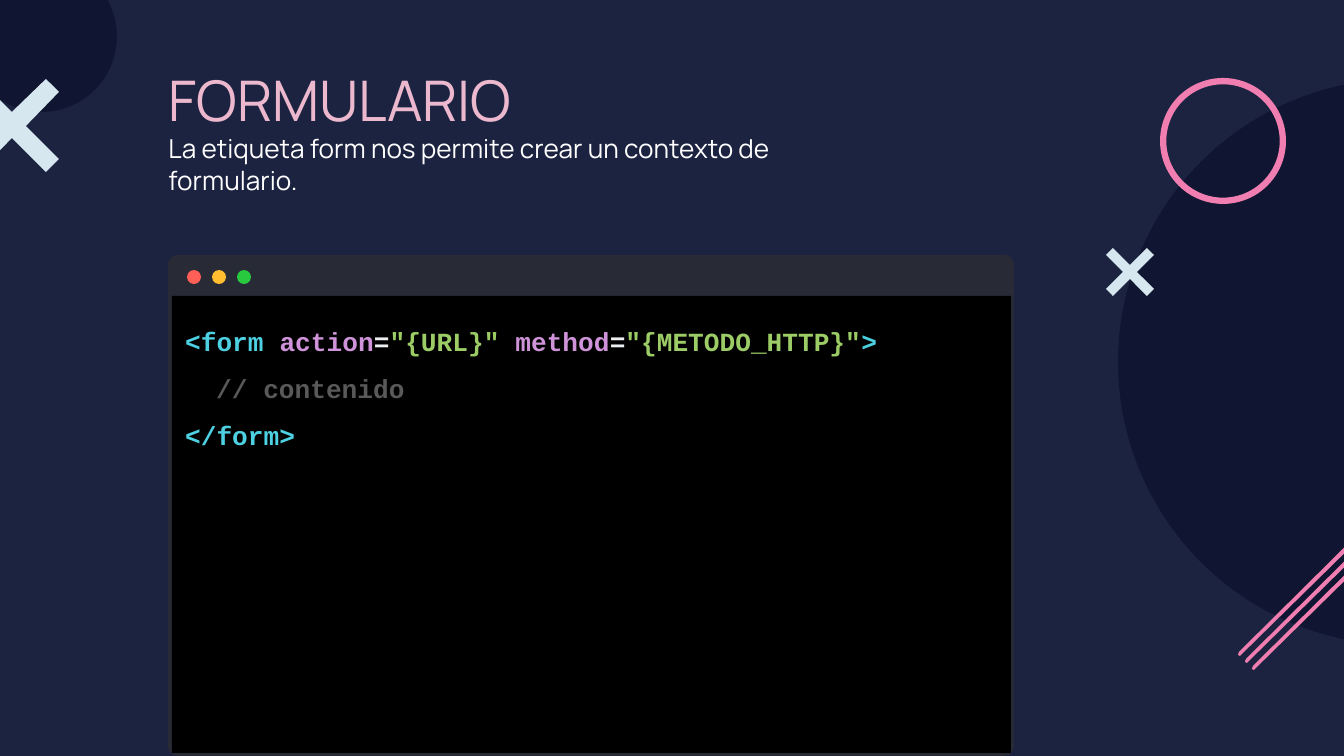
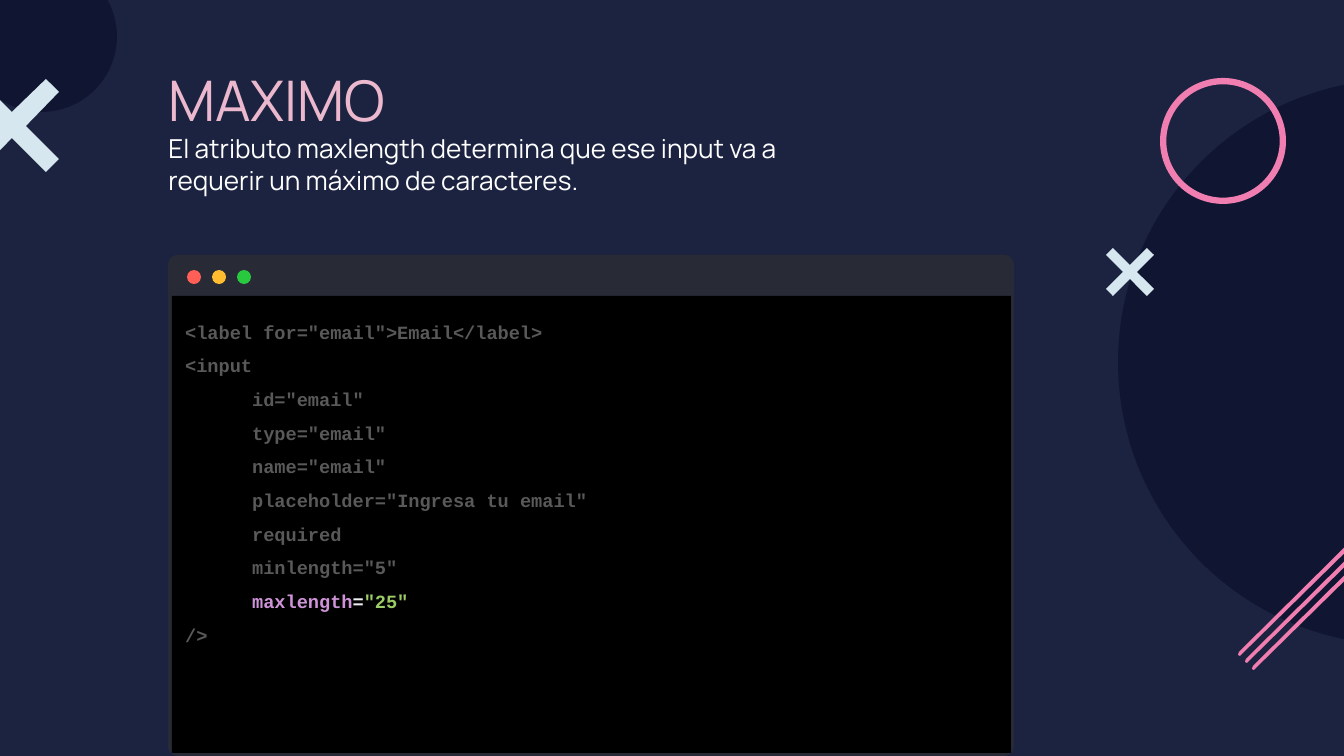
from pptx import Presentation
from pptx.dml.color import RGBColor as Rgb
from pptx.enum.shapes import MSO_SHAPE as Kind
from pptx.enum.text import MSO_ANCHOR as Anchor, MSO_AUTO_SIZE as Fit, PP_ALIGN as Align
from pptx.util import Pt

SCALE = 914400 / 134.4
HEX = {
    "back": "1C2340", "disc": "101632", "ice": "D7E7EF", "pink": "F17EB0",
    "rose": "ECB8CE", "white": "FFFFFF", "frame": "282A36", "black": "000000",
    "red": "FF5F56", "amber": "FFBD2F", "green": "28C93F",
    "tag": "4DD0E1", "attr": "CE93D8", "sign": "ECEFF1", "value": "9CCC65", "dim": "595959",
}
HEAD, CODE = "Manrope", "Courier New"


def px(n):
    """Turn pixels into EMU."""
    return round(n * SCALE)


def paint(shape, color):
    """Give a shape a flat fill with no line or shadow."""
    shape.shadow.inherit = False
    shape.fill.solid()
    shape.fill.fore_color.rgb = Rgb.from_string(HEX[color])
    shape.line.fill.background()
    return shape


def draw(shapes, kind, box, color):
    """Add a preset shape in a pixel box."""
    return paint(shapes.add_shape(kind, *map(px, box)), color)


def trace(shapes, left, top, points, color):
    """Add a closed outline whose points are relative to left and top."""
    spots = [(left + x, top + y) for x, y in points]
    pen = shapes.build_freeform(*spots[0], scale=SCALE)
    pen.add_line_segments(spots[1:], close=True)
    return paint(pen.convert_to_shape(), color)


def cross(shapes, left, top, size, arm):
    """Add a diagonal cross."""
    mid, far = size / 2, size - arm
    points = [(arm, 0), (0, arm), (mid - arm, mid), (0, far), (arm, size), (mid, mid + arm),
              (far, size), (size, far), (mid + arm, mid), (size, arm), (far, 0), (mid, mid - arm)]
    trace(shapes, left, top, points, "ice")


def setup(shape):
    """Prepare a text frame with top anchor and even insets."""
    frame = shape.text_frame
    frame.word_wrap = True
    frame.auto_size = Fit.NONE
    frame.vertical_anchor = Anchor.TOP
    for side in ("left", "top", "right", "bottom"):
        setattr(frame, f"margin_{side}", Pt(7.2))
    return frame


def write(frame, runs, size, font, bold=False, space=None, indent=0):
    """Add one paragraph made of (text, color) runs."""
    first = frame.paragraphs[0]
    para = frame.add_paragraph() if first.runs else first
    para.alignment = Align.LEFT
    if space:
        para.line_spacing = space
    if indent:
        para._p.get_or_add_pPr().set("indent", str(px(indent)))
    for text, color in runs:
        run = para.add_run()
        run.text = text
        run.font.size = Pt(size)
        run.font.name = font
        run.font.bold = bold
        run.font.color.rgb = Rgb.from_string(HEX[color])


def title(slide, head, note):
    """Place the title with its note below."""
    shape = slide.shapes.title
    shape.left, shape.top, shape.width, shape.height = map(px, (155, 52, 653, 116))
    frame = setup(shape)
    write(frame, [(head, "rose")], 30, HEAD)
    write(frame, [(note, "white")], 14, HEAD)


def window(slide, lines, size):
    """Add the code window; each line is an indent and its runs."""
    group = slide.shapes.add_group_shape().shapes
    frame = draw(group, Kind.ROUNDED_RECTANGLE, (168, 255, 846, 501), "frame")
    frame.adjustments[0] = 0.02
    for i, color in enumerate(("red", "amber", "green")):
        draw(group, Kind.OVAL, (187 + 25 * i, 270, 14, 14), color)
    pane = draw(slide.shapes, Kind.RECTANGLE, (172, 296, 839, 457), "black")
    text = setup(pane)
    for indent, runs in lines:
        write(text, runs, size, CODE, bold=True, space=1.5, indent=indent)


def decor(slide):
    """Add the discs, crosses, ring and stripes."""
    shapes = slide.shapes
    draw(shapes, Kind.OVAL, (-34, -39, 151, 151), "disc")
    draw(shapes, Kind.OVAL, (1118, 79, 566, 566), "disc")
    cross(shapes, 1106, 248, 48, 7)
    ring = draw(shapes, Kind.DONUT, (1160, 78, 126, 126), "pink")
    ring.adjustments[0] = 0.05
    stripe = [(124, 0), (121, 1), (1, 120), (0, 123), (2, 124), (4, 122), (124, 4), (125, 1)]
    for i in range(3):
        trace(shapes, 1238 + 7 * i, 532 + 7 * i, stripe, "pink")
    cross(shapes, -34, 79, 93, 13)


def page(deck, head, note, lines, size):
    """Build one slide."""
    slide = deck.slides.add_slide(deck.slide_layouts[5])
    window(slide, lines, size)
    title(slide, head, note)
    decor(slide)


def main():
    """Build and save the deck."""
    deck = Presentation()
    deck.slide_width, deck.slide_height = px(1344), px(756)
    fill = deck.slide_master.background.fill
    fill.solid()
    fill.fore_color.rgb = Rgb.from_string(HEX["back"])

    form = [
        (0, [("<form ", "tag"), ("action", "attr"), ("=", "sign"), ('"{URL}" ', "value"),
             ("method", "attr"), ("=", "sign"), ('"{METODO_HTTP}"', "value"), (">", "tag")]),
        (31, [("// contenido", "dim")]),
        (0, [("</form>", "tag")]),
    ]
    page(deck, "FORMULARIO", "La etiqueta form nos permite crear un contexto de formulario.",
         form, 14)

    attrs = ('id="email"', 'type="email"', 'name="email"',
             'placeholder="Ingresa tu email"', "required", 'minlength="5"')
    field = [
        (0, [('<label for="email">Email</label>', "dim")]),
        (0, [("<input", "dim")]),
        *[(67, [(attr, "dim")]) for attr in attrs],
        (67, [("maxlength", "attr"), ("=", "sign"), ('"25"', "value")]),
        (0, [("/>", "dim")]),
    ]
    page(deck, "MAXIMO", "El atributo maxlength determina que ese input va a requerir "
         "un máximo de caracteres.", field, 10)
    deck.save("out.pptx")


if __name__ == "__main__":
    main()
